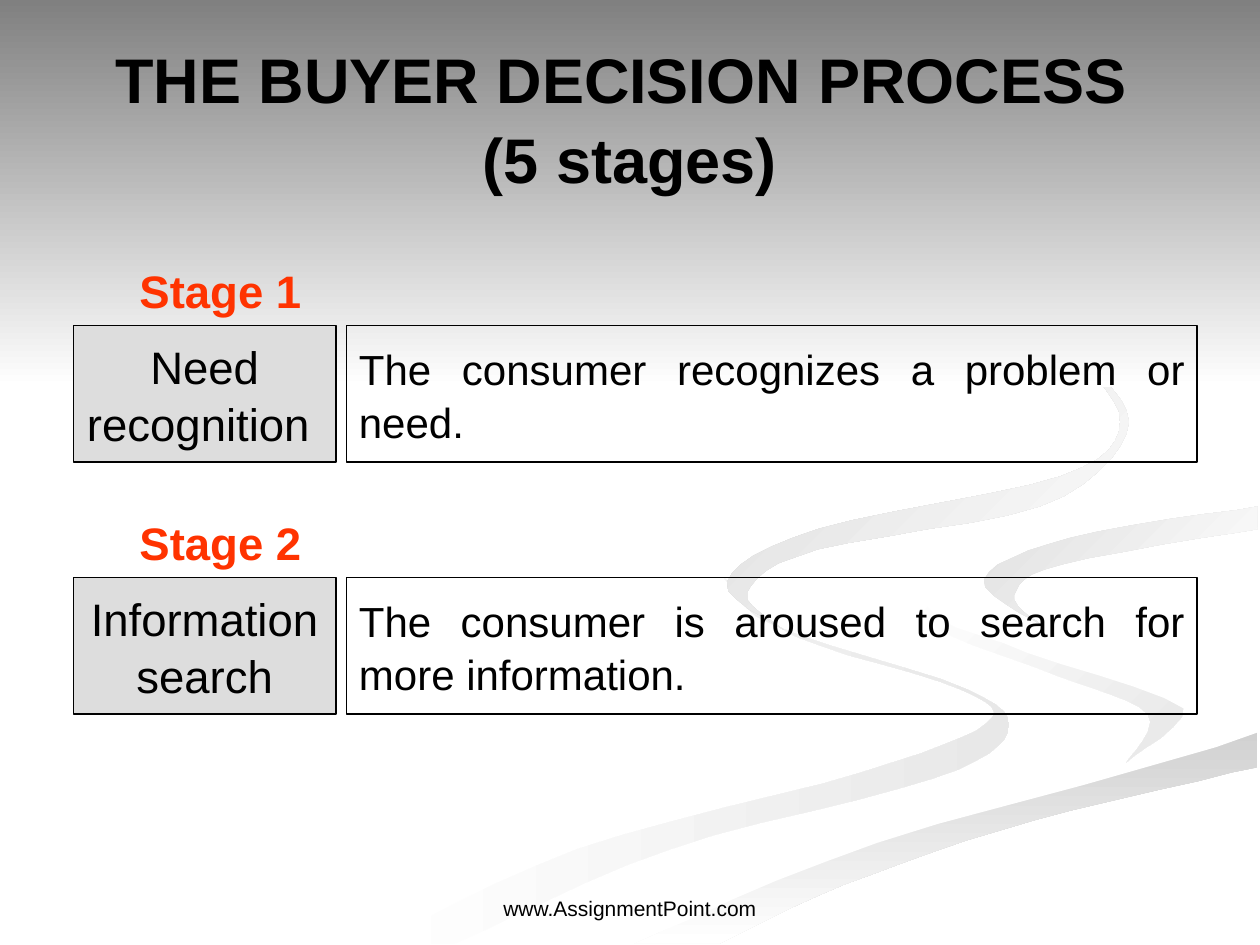
from collections import namedtuple
from pptx import Presentation
from pptx.dml.color import RGBColor as RGB
from pptx.enum.shapes import MSO_SHAPE as Shape
from pptx.enum.text import MSO_ANCHOR as Anchor, PP_ALIGN as Align
from pptx.util import Pt

Box = namedtuple("Box", "x y w h")
Theme = namedtuple("Theme", "font ink stage label paper shade title head body foot space")
THEME = Theme("Arial", "000000", "FF3300", "DDDDDD", "FFFFFF", "808080", 36, 26, 24, 12, 1.05)

STAGES = [
    ("Stage 1", "Need recognition ", "The consumer recognizes a problem or need."),
    ("Stage 2", "Information search", "The consumer is aroused to search for more information."),
]

RIBBONS = [
    (("FFFFFF", "E8E8E8"), 0,
     [(300, 749), (458, 674), (684, 613), (783, 574), (762, 547), (631, 505), (575, 459)],
     [(575, 459), (614, 496), (767, 547), (800, 581), (740, 618), (532, 674), (361, 749)]),
    (("FFFFFF", "E8E8E8"), 45,
     [(724, 464), (758, 498), (870, 530), (939, 562), (894, 605)],
     [(894, 605), (911, 567), (838, 536), (746, 500), (724, 464)]),
    (("D1D1D1", "FFFFFF"), 90,
     [(503, 749), (630, 693), (764, 647), (998, 581)],
     [(998, 609), (821, 651), (670, 702), (571, 749)]),
    (("FFFFFF",), 0,
     [(477, 749), (704, 655), (911, 600), (939, 562), (793, 509), (725, 464),
      (770, 427), (999, 387)],
     [(999, 402), (822, 434), (786, 473), (866, 509), (999, 538), (999, 581),
      (696, 669), (503, 749)]),
    (("E0E0E0", "FFFFFF"), 45,
     [(826, 496), (781, 460), (849, 427), (998, 402)],
     [(998, 420), (843, 448), (805, 472), (826, 496)]),
    (("D8D8D8", "FFFFFF"), 45,
     [(762, 233), (864, 291), (894, 344), (825, 402), (649, 436), (593, 470), (622, 500)],
     [(622, 500), (577, 462), (649, 420), (842, 378), (889, 335), (846, 279), (762, 233)]),
]


def smooth(dots, steps=6):
    """Return points along a Catmull-Rom curve through the dots."""
    ends = [dots[0], *dots, dots[-1]]
    curve = []
    for quad in zip(ends, ends[1:], ends[2:], ends[3:]):
        for step in range(steps):
            t = step / steps
            curve.append(tuple(
                b + t * (c - a) / 2 + t**2 * (a - 2.5 * b + 2 * c - d / 2)
                + t**3 * (3 * b - a - 3 * c + d) / 2
                for a, b, c, d in zip(*quad)))
    return curve + [dots[-1]]


def paint(shape, tones, angle=0):
    """Fill a shape with one tone or a clockwise gradient, without a line."""
    shape.shadow.inherit = False
    shape.line.fill.background()
    if len(tones) == 1:
        shape.fill.solid()
        shape.fill.fore_color.rgb = RGB.from_string(tones[0])
        return
    shape.fill.gradient()
    shape.fill.gradient_angle = -angle % 360
    for stop, tone, place in zip(shape.fill.gradient_stops, tones, (0, 1)):
        stop.color.rgb = RGB.from_string(tone)
        stop.position = place


def write(shape, text, size, color=THEME.ink, bold=False, align=Align.CENTER,
          anchor=Anchor.MIDDLE, wrap=True):
    """Set and format the text of a shape."""
    frame = shape.text_frame
    frame.text = text
    frame.word_wrap = wrap
    frame.vertical_anchor = anchor
    for para in frame.paragraphs:
        para.alignment = align
        para.line_spacing = THEME.space
        for run in para.runs:
            font = run.font
            font.name, font.size, font.bold = THEME.font, Pt(size), bold
            font.color.rgb = RGB.from_string(color)


def label(slide, box, text, size, **style):
    """Place a text box."""
    write(slide.shapes.add_textbox(*map(Pt, box)), text, size, **style)


def panel(slide, box, text, size, fill=None, **style):
    """Place a framed rectangle with text."""
    rect = slide.shapes.add_shape(Shape.RECTANGLE, *map(Pt, box))
    paint(rect, [fill or THEME.paper])
    if not fill:
        rect.fill.background()
    rect.line.color.rgb = RGB.from_string(THEME.ink)
    rect.line.width = Pt(0.75)
    write(rect, text, size, **style)


def backdrop(slide, box):
    """Draw the ribbons and the shaded band at the top of the box."""
    for tones, angle, near, far in RIBBONS:
        dots = smooth(near) + smooth(far)
        build = slide.shapes.build_freeform(*dots[0], scale=Pt(box.w) / 1000)
        build.add_line_segments(dots[1:], close=True)
        paint(build.convert_to_shape(Pt(box.x), Pt(box.y)), tones, angle)
    band = slide.shapes.add_shape(
        Shape.RECTANGLE, Pt(box.x), Pt(box.y), Pt(box.w), Pt(box.h * 0.41))
    paint(band, (THEME.shade, THEME.paper), 90)


def stage(slide, box, name, topic, note):
    """Place a stage name above its topic and note panels."""
    left, gap, head = 150, 6, 42
    top, tall = box.y + head, box.h - head
    label(slide, Box(box.x + 18, box.y, left - 18, head), name, THEME.head,
          color=THEME.stage, bold=True, wrap=False)
    panel(slide, Box(box.x, top, left, tall), topic, THEME.head, THEME.label)
    panel(slide, Box(box.x + left + gap, top, box.w - left - gap, tall),
          note, THEME.body, align=Align.JUSTIFY)


def main():
    """Build and save the slide."""
    deck = Presentation()
    page = Box(0, 0, 720, 540)
    deck.slide_width, deck.slide_height = Pt(page.w), Pt(page.h)
    slide = deck.slides.add_slide(deck.slide_layouts[6])
    backdrop(slide, page)
    label(slide, Box(36, 21.6, 648, 90), "THE BUYER DECISION PROCESS \v(5 stages)",
          THEME.title, bold=True)
    for row, texts in enumerate(STAGES):
        stage(slide, Box(42, 144 + 144 * row, 642, 120), *texts)
    label(slide, Box(246, 492, 228, 37.5), "www.AssignmentPoint.com", THEME.foot,
          anchor=Anchor.BOTTOM)
    deck.save("out.pptx")


if __name__ == "__main__":
    main()
